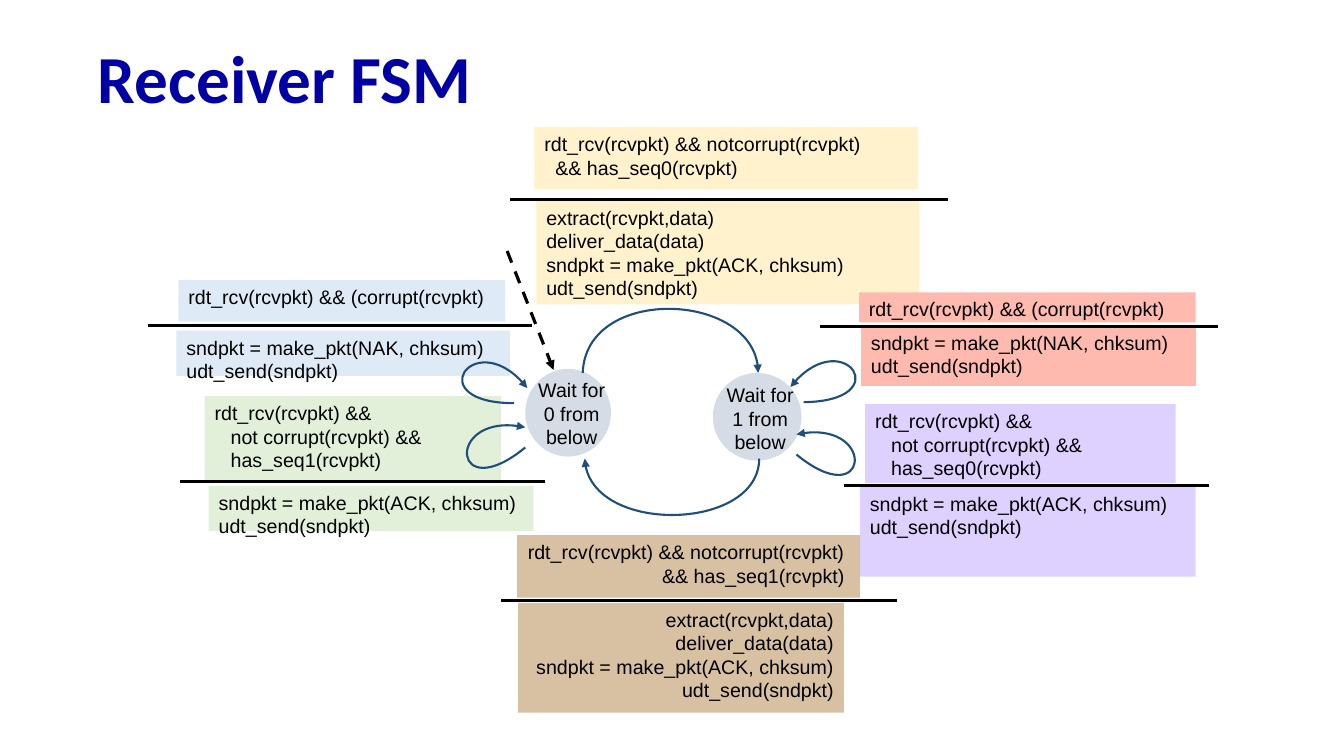
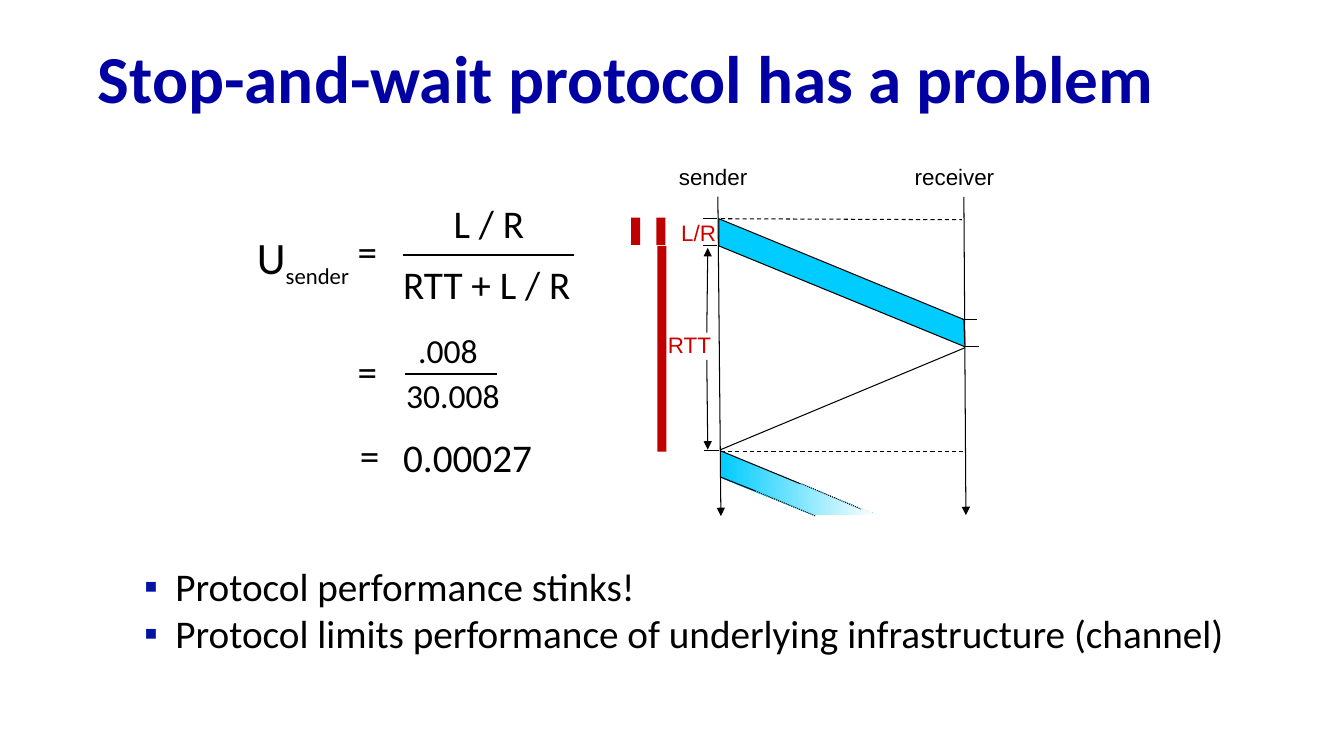
from lxml import etree
from pptx import Presentation
from pptx import util as u
from pptx.dml.color import RGBColor
from pptx.enum import dml, shapes, text
from pptx.oxml.ns import qn

PX = 9144  # 100 px to the inch
COLORS = {
    "title": "0000A3", "bullet": "0013A3", "text": "000000", "white": "FFFFFF",
    "state": "D6DCE5", "arc": "1F4E79", "brown": "945200", "yellow": "FFF2CC",
    "salmon": "FFBAB0", "purple": "BFA3FF", "green": "E2F0D9", "blue": "DEEBF7",
    "band": "00CCFF", "bar": "C00000", "red": "CC0000",
}
ALPHA = {"brown": 36, "purple": 50}
LEFT, CENTER, RIGHT = text.PP_ALIGN.LEFT, text.PP_ALIGN.CENTER, text.PP_ALIGN.RIGHT
DASH, DOT = dml.MSO_LINE.DASH, dml.MSO_LINE.ROUND_DOT
TITLE_BOX = (87, 32, 1214, 98)

# Receiver FSM
STATES = [  # circle, label box, label
    ((521, 366, 85, 87), (523, 370, 88, 67), ["Wait for", "0 from below"]),
    ((707, 370, 88, 87), (710, 375, 88, 67), ["Wait for", "1 from below"]),
]
START_ARROW = (503, 249, 549, 367)
CORRUPT = ["rdt_rcv(rcvpkt) && (corrupt(rcvpkt)"]
SEND_NAK = ["sndpkt = make_pkt(NAK, chksum)", "udt_send(sndpkt)"]
SEND_ACK = ["sndpkt = make_pkt(ACK, chksum)", "udt_send(sndpkt)"]
DELIVER = ["extract(rcvpkt,data)", "deliver_data(data)"] + SEND_ACK
TRANSITIONS = [
    # colour, alignment, continuation indent, condition box, condition,
    # action box, action, dividing line, curve points
    ("brown", RIGHT, 0, (513, 531, 340, 62),
     ["rdt_rcv(rcvpkt) && notcorrupt(rcvpkt) ", "&& has_seq1(rcvpkt) "],
     (514, 598, 323, 109), DELIVER, (497, 596, 890, 596),
     [(753, 455), (753, 526), (583, 531), (580, 455)]),
    ("yellow", LEFT, 11, (530, 126, 381, 62),
     ["rdt_rcv(rcvpkt) && notcorrupt(rcvpkt)", "&& has_seq0(rcvpkt)"],
     (532, 199, 380, 103), DELIVER, (506, 198, 940, 198),
     [(578, 370), (581, 284), (752, 289), (752, 370)]),
    ("salmon", LEFT, 0, (852, 290, 334, 30), CORRUPT,
     (854, 323, 332, 60), SEND_NAK, (813, 324, 1208, 324),
     [(797, 399), (890, 398), (835, 319), (784, 384)]),
    ("purple", LEFT, 16, (858, 401, 308, 78),
     ["rdt_rcv(rcvpkt) &&", "not corrupt(rcvpkt) &&", "has_seq0(rcvpkt)"],
     (853, 483, 333, 89), SEND_ACK, (837, 482, 1199, 482),
     [(790, 451), (862, 510), (870, 414), (790, 431)]),
    ("green", LEFT, 16, (203, 393, 294, 85),
     ["rdt_rcv(rcvpkt) &&", "not corrupt(rcvpkt) &&", "has_seq1(rcvpkt)"],
     (207, 482, 322, 45), SEND_ACK, (179, 478, 541, 478),
     [(521, 444), (449, 503), (441, 407), (521, 424)]),
    ("blue", LEFT, 0, (177, 278, 324, 41), CORRUPT,
     (175, 328, 331, 45), SEND_NAK, (147, 323, 528, 323),
     [(510, 400), (417, 400), (472, 320), (523, 385)]),
]

# Stop-and-wait timing
TIMELINES = [(712, 194, 715, 512), (956, 195, 958, 511)]
TIMELINE_LABELS = [((654, 157, 97, 38), "sender"), ((893, 157, 103, 38), "receiver")]
DASHED = [(715, 217, 954, 218), (715, 448, 955, 448)]
THIN = [
    (715, 446, 957, 345),  # returning acknowledgement
    (711, 217, 697, 217), (711, 244, 697, 244), (713, 447, 698, 447),
    (969, 317, 954, 317), (957, 344, 971, 344),
    (714, 447, 794, 480), (714, 473, 749, 487),  # second packet's edges
]
DOTTED = [(795, 480, 854, 505), (749, 487, 809, 512)]
RTT_ARROWS = [(701, 357, 702, 446), (701, 330, 702, 246)]
FIRST_PACKET = [(713, 217), (956, 317), (957, 344), (713, 244)]
SECOND_PACKET = [(715, 448), (870, 511), (807, 511), (715, 474)]
RED_BARS = [(652, 244, 9, 204), (651, 216, 9, 27), (626, 216, 9, 27)]
RED_LABELS = [((626, 324, 89, 37), "RTT"), ((627, 212, 93, 37), "L/R")]
FORMULA = [  # box, text, size
    ((345, 221, 40, 57), "=", 28), ((440, 193, 91, 57), "L / R", 28),
    ((390, 253, 187, 57), "RTT + L / R", 28),
    ((345, 340, 40, 57), "=", 28), ((405, 322, 80, 50), ".008", 24),
    ((393, 367, 114, 50), "30.008", 24),
    ((347, 423, 40, 57), "=", 28), ((390, 425, 150, 57), "0.00027", 28),
]
UTILIZATION_BOX = (245, 223, 122, 64)
FRACTION_LINES = [((400, 253, 569, 253), 1.75), ((402, 371, 493, 371), 1.5)]
BULLETS_BOX = (133, 553, 1115, 135)
BULLETS = ["Protocol performance stinks!",
           "Protocol limits performance of underlying infrastructure (channel)"]


def rgb(name):
    return RGBColor.from_string(COLORS[name])


def emu(box):
    return [v * PX for v in box]


def style(r, size, font="Arial", color="text", bold=False):
    r.font.size, r.font.name, r.font.bold = u.Pt(size), font, bold
    r.font.color.rgb = rgb(color)


def write(tf, lines, size, font="Arial", color="text", align=LEFT, indent=0):
    """Fill a frame with one paragraph a line, indenting all but the first."""
    tf.text = "\n".join(lines)
    for i, p in enumerate(tf.paragraphs):
        p.alignment = align
        if i and indent:
            p._p.get_or_add_pPr().set("marL", str(indent * PX))
        for r in p.runs:
            style(r, size, font, color)


def add_text(slide, box, lines, size, wrap=True, **look):
    tf = slide.shapes.add_textbox(*emu(box)).text_frame
    tf.word_wrap = wrap
    if not wrap:
        tf.auto_size = text.MSO_AUTO_SIZE.SHAPE_TO_FIT_TEXT
    write(tf, lines, size, **look)
    return tf


def add_block(slide, box, fill, lines=(), size=14, kind=shapes.MSO_SHAPE.RECTANGLE, **look):
    sp = slide.shapes.add_shape(kind, *emu(box))
    sp.shadow.inherit = False
    sp.line.fill.background()
    sp.fill.solid()
    sp.fill.fore_color.rgb = rgb(fill)
    if fill in ALPHA:
        color = sp._element.spPr.find(qn("a:solidFill"))[0]
        etree.SubElement(color, qn("a:alpha")).set("val", str(ALPHA[fill] * 1000))
    if lines:
        sp.text_frame.vertical_anchor = text.MSO_ANCHOR.TOP
        write(sp.text_frame, lines, size, **look)


def set_line(sp, width, color="text", dash=None, arrow=False):
    sp.line.width = u.Pt(width)
    sp.line.color.rgb = rgb(color)
    if dash:
        sp.line.dash_style = dash
    if arrow:
        etree.SubElement(sp.line._get_or_add_ln(), qn("a:tailEnd")).set("type", "triangle")


def add_line(slide, ends, width=0.75, **look):
    c = slide.shapes.add_connector(shapes.MSO_CONNECTOR.STRAIGHT, *emu(ends))
    set_line(c, width, **look)
    etree.SubElement(c._element.spPr, qn("a:effectLst"))


def add_outline(slide, points, close):
    builder = slide.shapes.build_freeform(*points[0], scale=PX)
    builder.add_line_segments(points[1:], close=close)
    sp = builder.convert_to_shape()
    sp.shadow.inherit = False
    return sp


def add_curve(slide, points):
    """Draw an arrowed cubic curve from start, two control points and end."""
    sp = add_outline(slide, points, close=False)
    sp.fill.background()
    outline = sp._element.xpath(".//a:path")[0]
    cubic = etree.SubElement(outline, qn("a:cubicBezTo"))
    for segment in outline.findall(qn("a:lnTo")):
        cubic.append(segment[0])
        outline.remove(segment)
    set_line(sp, 1.5, "arc", arrow=True)


def place(ph, box):
    ph.left, ph.top, ph.width, ph.height = emu(box)
    ph.text_frame.auto_size = text.MSO_AUTO_SIZE.NONE
    return ph.text_frame


def new_slide(prs, layout, title):
    slide = prs.slides.add_slide(prs.slide_layouts[layout])
    tf = place(slide.shapes.title, TITLE_BOX)
    tf.vertical_anchor = text.MSO_ANCHOR.MIDDLE
    write(tf, [title], 48, "Calibri", "title")
    tf.paragraphs[0].line_spacing = 0.9
    tf.paragraphs[0].runs[0].font.bold = True
    return slide


def add_bullets(ph):
    tf = place(ph, BULLETS_BOX)
    write(tf, BULLETS, 28, "Calibri")
    for p in tf.paragraphs:
        p.space_before = u.Pt(0)
        pPr = p._p.get_or_add_pPr()
        pPr.set("marL", str(31 * PX))
        pPr.set("indent", str(-31 * PX))
        color = etree.SubElement(pPr, qn("a:buClr"))
        etree.SubElement(color, qn("a:srgbClr")).set("val", COLORS["bullet"])
        etree.SubElement(pPr, qn("a:buFont")).set("typeface", "Arial")
        etree.SubElement(pPr, qn("a:buChar")).set("char", "▪")


def build_receiver(prs):
    slide = new_slide(prs, 5, "Receiver FSM")
    for circle, box, label in STATES:
        add_block(slide, circle, "state", kind=shapes.MSO_SHAPE.OVAL)
        add_text(slide, box, label, 14, align=CENTER)
    add_line(slide, START_ARROW, 2.25, dash=DASH, arrow=True)
    for fill, align, indent, cond_box, cond, act_box, action, divider, curve in TRANSITIONS:
        add_block(slide, cond_box, fill, cond, align=align, indent=indent)
        add_block(slide, act_box, fill, action, align=align)
        add_line(slide, divider, 2.25)
        add_curve(slide, curve)


def build_stop_and_wait(prs):
    slide = new_slide(prs, 1, "Stop-and-wait protocol has a problem")
    add_bullets(slide.placeholders[1])

    for ends in TIMELINES:
        add_line(slide, ends, arrow=True)
    for box, label in TIMELINE_LABELS:
        add_block(slide, box, "white", [label], 16, align=RIGHT)
    for ends in DASHED:
        add_line(slide, ends, dash=DASH)

    first = add_outline(slide, FIRST_PACKET, close=True)
    first.fill.solid()
    first.fill.fore_color.rgb = rgb("band")
    set_line(first, 0.75)
    second = add_outline(slide, SECOND_PACKET, close=True)
    second.line.fill.background()
    second.fill.gradient()
    second.fill.gradient_angle = 0
    for stop, color in zip(second.fill.gradient_stops, ("band", "white")):
        stop.color.rgb = rgb(color)

    for ends in THIN:
        add_line(slide, ends)
    for ends in DOTTED:
        add_line(slide, ends, dash=DOT)
    for ends in RTT_ARROWS:
        add_line(slide, ends, arrow=True)
    for box in RED_BARS:
        add_block(slide, box, "bar")
    for box, label in RED_LABELS:
        add_text(slide, box, [label], 16, color="red", align=RIGHT)

    tf = add_text(slide, UTILIZATION_BOX, ["U"], 32, wrap=False, font="Calibri")
    r = tf.paragraphs[0].add_run()
    r.text = "sender"
    style(r, 28, "Calibri")
    r.font._element.set("baseline", "-25000")
    for box, label, size in FORMULA:
        add_text(slide, box, [label], size, wrap=False, font="Calibri")
    for ends, width in FRACTION_LINES:
        add_line(slide, ends, width)


def main():
    prs = Presentation()
    prs.slide_width, prs.slide_height = emu((1333, 750))
    build_receiver(prs)
    build_stop_and_wait(prs)
    prs.save("out.pptx")


if __name__ == "__main__":
    main()
